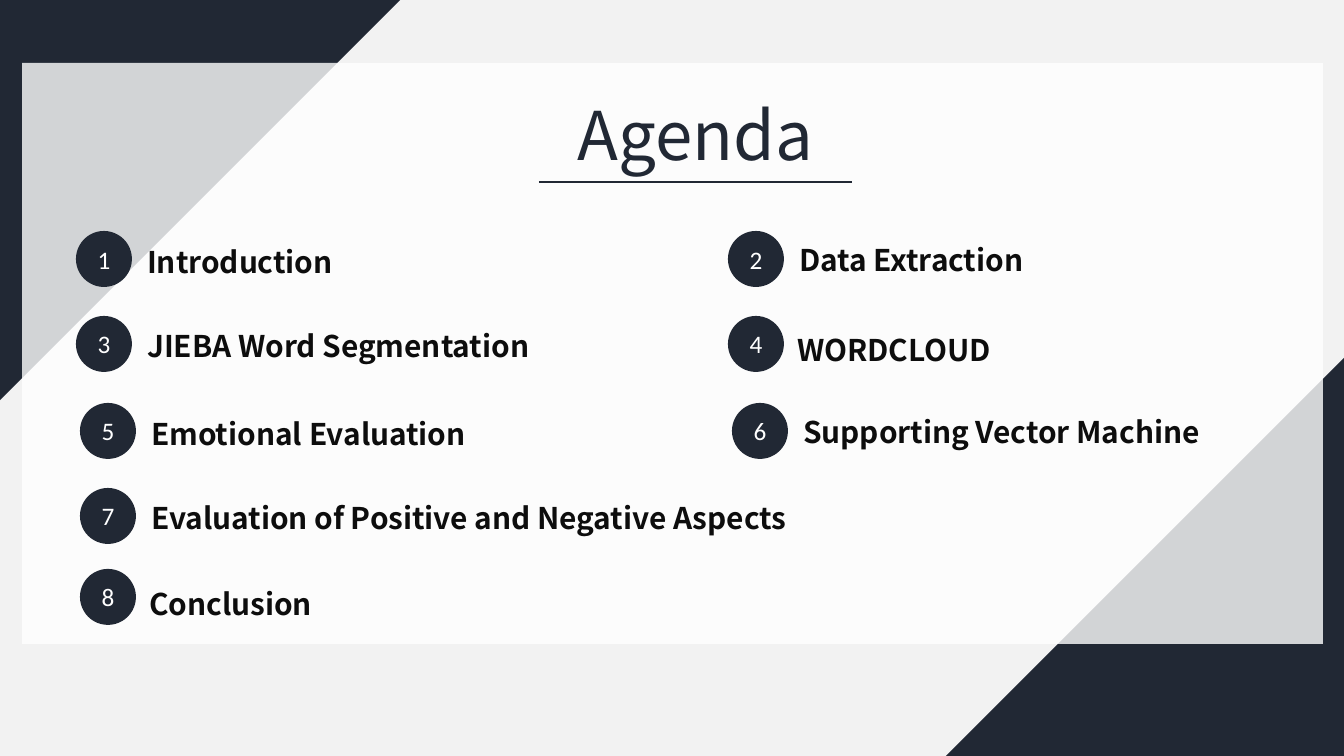
from lxml import etree
from pptx import Presentation
from pptx import util as u
from pptx.dml.color import RGBColor
from pptx.enum import shapes, text
from pptx.oxml.ns import qn

NAVY = RGBColor(0x21, 0x28, 0x34)
INK = RGBColor(0x0D, 0x0D, 0x0D)
WHITE = RGBColor(0xFF, 0xFF, 0xFF)
PALE = RGBColor(0xF2, 0xF2, 0xF2)
HEADING_FONT = "Noto Sans CJK SC"
NUMBER_FONT = "Calibri"

# Topic and its label's left, top and width in px
TOPICS = [
    ("Introduction", 134, 237, 218),
    ("Data Extraction", 786, 235, 261),
    ("JIEBA Word Segmentation", 134, 321, 427),
    ("WORDCLOUD", 784, 325, 237),
    ("Emotional Evaluation", 138, 409, 348),
    ("Supporting Vector Machine", 790, 407, 445),
    ("Evaluation of Positive and Negative Aspects", 138, 493, 692),
    ("Conclusion", 136, 579, 194),
]
# Centres of the number badges, in reading order
BADGES = [(104, 259), (756, 259), (104, 344), (756, 344),
          (108, 431), (760, 431), (108, 516), (108, 597)]
BADGE_SIZE = 56
LABEL_HEIGHT = 50
CORNER = 404
CORNERS = [(945, 353, 270), (-4, 0, 90)]


def px(*lengths):
    return [u.Emu(round(length * 914400 / 134.4)) for length in lengths]


def add_block(preset, left, top, width, height, color):
    block = slide.shapes.add_shape(preset, *px(left, top, width, height))
    block.shadow.inherit = False
    block.fill.solid()
    block.fill.fore_color.rgb = color
    block.line.fill.background()
    return block


def style(paragraph, font_name, size, color, bold=False):
    font = paragraph.font
    font.name, font.size, font.bold = font_name, u.Pt(size), bold
    font.color.rgb = color


def add_text(words, left, top, width, height, size, color, bold=False, wrap=False):
    box = slide.shapes.add_textbox(*px(left, top, width, height))
    frame = box.text_frame
    frame.word_wrap = wrap
    frame.auto_size = text.MSO_AUTO_SIZE.SHAPE_TO_FIT_TEXT
    paragraph = frame.paragraphs[0]
    paragraph.text = words
    style(paragraph, HEADING_FONT, size, color, bold)
    return paragraph


def add_badge(number, center_x, center_y):
    badge = add_block(shapes.MSO_SHAPE.OVAL, center_x - BADGE_SIZE / 2,
                      center_y - BADGE_SIZE / 2, BADGE_SIZE, BADGE_SIZE, NAVY)
    frame = badge.text_frame
    frame.margin_left = frame.margin_right = 0
    frame.vertical_anchor = text.MSO_ANCHOR.MIDDLE
    paragraph = frame.paragraphs[0]
    paragraph.text = str(number)
    paragraph.alignment = text.PP_ALIGN.CENTER
    style(paragraph, NUMBER_FONT, 13.5, WHITE)


deck = Presentation()
deck.slide_width, deck.slide_height = px(1344, 756)
slide = deck.slides.add_slide(deck.slide_layouts[6])
slide.background.fill.solid()
slide.background.fill.fore_color.rgb = PALE

for left, top, angle in CORNERS:
    corner = add_block(shapes.MSO_SHAPE.RIGHT_TRIANGLE, left, top, CORNER, CORNER, NAVY)
    corner.rotation = angle

panel = add_block(shapes.MSO_SHAPE.RECTANGLE, 22, 63, 1301, 581, WHITE)
panel_color = panel.fill._xPr.find(qn("a:solidFill"))[0]
etree.SubElement(panel_color, qn("a:alpha"), val="80000")

title = add_text("Agenda", 533, 87, 325, 95, 36, NAVY, wrap=True)
title.alignment = text.PP_ALIGN.CENTER

underline = slide.shapes.add_connector(
    shapes.MSO_CONNECTOR.STRAIGHT, *px(539, 182, 852, 182))
underline.line.color.rgb = NAVY
underline.line.width = u.Pt(1.5)
etree.SubElement(underline._element.spPr, qn("a:effectLst"))

for number, ((topic, left, top, width), center) in enumerate(zip(TOPICS, BADGES), 1):
    add_text(topic, left, top, width, LABEL_HEIGHT, 16, INK, bold=True)
    add_badge(number, *center)

deck.save("out.pptx")
